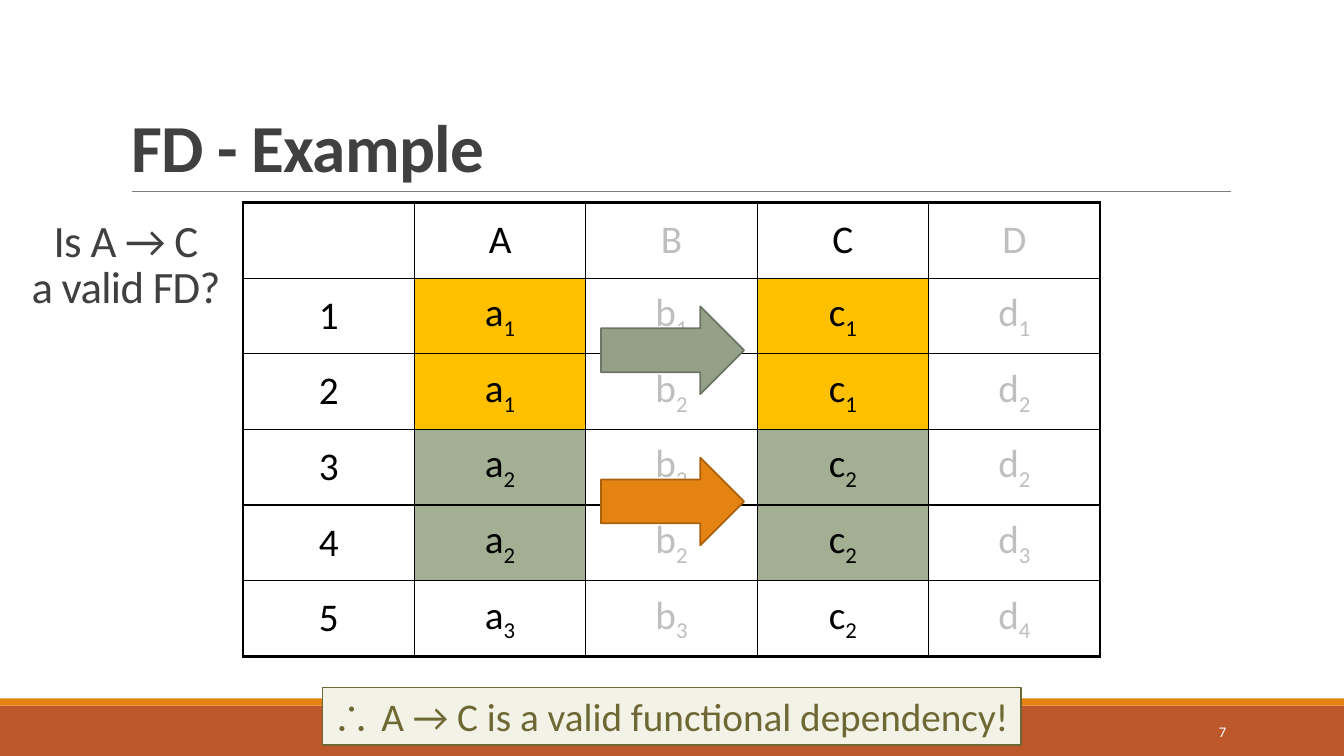
"""Build the slide that tests a functional dependency on a small table."""
from lxml import etree
from pptx import Presentation
from pptx.dml.color import RGBColor
from pptx.enum import shapes, text
from pptx.oxml import ns
from pptx.util import Inches, Pt

BLACK = RGBColor(0, 0, 0)
WHITE = RGBColor(255, 255, 255)
DARK = RGBColor(0x40, 0x40, 0x40)
GREY = RGBColor(0x80, 0x80, 0x80)
FAINT = RGBColor(0xBF, 0xBF, 0xBF)
RUST = RGBColor(0xBD, 0x58, 0x2C)
ORANGE = RGBColor(0xE4, 0x83, 0x12)
BROWN = RGBColor(0xA9, 0x61, 0x0D)
GOLD = RGBColor(0xFF, 0xC0, 0x00)
SAGE = RGBColor(0xA2, 0xAF, 0x92)
GREEN = RGBColor(0x94, 0xA0, 0x88)
MOSS = RGBColor(0x6D, 0x76, 0x65)
CREAM = RGBColor(0xF3, 0xF2, 0xE6)
OLIVE = RGBColor(0x6D, 0x68, 0x34)


def write(par, words, size, color, face="Calibri", **attrs):
    run = par.add_run()
    run.text = words
    run.font.size = Pt(size)
    run.font.name = face
    run.font.color.rgb = color
    for key, value in attrs.items():
        run.font._element.set(key, value)
    return run


def draw(kind, box, fill, edge=None):
    shape = slide.shapes.add_shape(kind, *map(Inches, box))
    shape.shadow.inherit = False
    shape.fill.solid()
    shape.fill.fore_color.rgb = fill
    if edge is None:
        shape.line.fill.background()
    else:
        shape.line.color.rgb = edge
        shape.line.width = Pt(1.25)
    return shape


deck = Presentation()
deck.slide_width, deck.slide_height = Inches(13.33), Inches(7.5)
slide = deck.slides.add_slide(deck.slide_layouts[5])
RECT = shapes.MSO_SHAPE.RECTANGLE

draw(RECT, (0, 7, 13.33, 0.5), RUST)
draw(RECT, (0, 6.93, 13.33, 0.07), ORANGE)
rule = slide.shapes.add_connector(
    shapes.MSO_CONNECTOR.STRAIGHT, Inches(1.31), Inches(1.9), Inches(12.21), Inches(1.9))
rule.line.color.rgb = GREY
rule.line.width = Pt(0.5)
etree.SubElement(rule._element.spPr, ns.qn("a:effectLst"))

title = slide.shapes.title
title.left, title.top = Inches(1.2), Inches(0.31)
title.width, title.height = Inches(11), Inches(1.59)
ask = slide.shapes.add_textbox(0, Inches(2.01), Inches(2.5), Inches(1.14))
for box, words, size, align in (
        (title, "FD - Example", 48, text.PP_ALIGN.LEFT),
        (ask, "Is A → C\na valid FD?", 32, text.PP_ALIGN.CENTER)):
    frame = box.text_frame
    frame.word_wrap = True
    frame.auto_size = text.MSO_AUTO_SIZE.NONE
    frame.vertical_anchor = text.MSO_ANCHOR.BOTTOM
    par = frame.paragraphs[0]
    par.alignment = align
    par.line_spacing = 0.85
    for i, line in enumerate(words.split("\n")):
        if i:
            par.add_line_break()
        run = write(par, line, size, DARK, spc="-50")
        run.font.bold = box is title

ROWS = ["", "A", "B", "C", "D"], *(
    [str(i + 1), *(a + b for a, b in zip("abcd", marks))]
    for i, marks in enumerate(("1111", "1212", "2222", "2223", "3324")))
FILLS = {1: GOLD, 2: GOLD, 3: SAGE, 4: SAGE}
grid = slide.shapes.add_table(
    6, 5, Inches(2.41), Inches(2.01), Inches(8.5), Inches(4.5)).table
grid.first_row = grid.horz_banding = False
for r, row in enumerate(ROWS):
    grid.rows[r].height = Inches(0.75)
    for c, label in enumerate(row):
        cell = grid.cell(r, c)
        cell.vertical_anchor = text.MSO_ANCHOR.MIDDLE
        par = cell.text_frame.paragraphs[0]
        par.alignment = text.PP_ALIGN.CENTER
        color = FAINT if c in (2, 4) else BLACK
        if label:
            write(par, label[0], 28, color)
        if label[1:]:
            write(par, label[1:], 28, color, baseline="-25000")
        outer = {"lnL": c == 0, "lnR": c == 4, "lnT": r == 0, "lnB": r == 5}
        for side, thick in outer.items():
            edge = etree.SubElement(cell._tc.get_or_add_tcPr(), ns.qn("a:" + side))
            edge.set("w", str(Pt(2.25 if thick else 1)))
            ink = etree.SubElement(edge, ns.qn("a:solidFill"))
            etree.SubElement(ink, ns.qn("a:srgbClr")).set("val", str(BLACK))
        if c in (1, 3) and r in FILLS:
            cell.fill.solid()
            cell.fill.fore_color.rgb = FILLS[r]
        else:
            cell.fill.background()

for top, fill, edge in ((3.04, GREEN, MOSS), (4.54, ORANGE, BROWN)):
    draw(shapes.MSO_SHAPE.RIGHT_ARROW, (5.96, top, 1.42, 0.87), fill, edge)

proof = draw(RECT, (3.2, 6.82, 6.93, 0.57), CREAM, OLIVE)
proof.text_frame.word_wrap = False
proof.text_frame.auto_size = text.MSO_AUTO_SIZE.SHAPE_TO_FIT_TEXT
proof.text_frame.vertical_anchor = text.MSO_ANCHOR.TOP
par = proof.text_frame.paragraphs[0]
par.alignment = text.PP_ALIGN.LEFT
write(par, "∴ ", 28, OLIVE, "Times New Roman")
write(par, "A → C is a valid functional dependency!", 28, OLIVE)

page = slide.shapes.add_textbox(Inches(10.83), Inches(7.06), Inches(1.43), Inches(0.4))
page.text_frame.word_wrap = True
page.text_frame.vertical_anchor = text.MSO_ANCHOR.MIDDLE
par = page.text_frame.paragraphs[0]
par.alignment = text.PP_ALIGN.RIGHT
write(par, "7", 10.5, WHITE)

deck.save("out.pptx")
